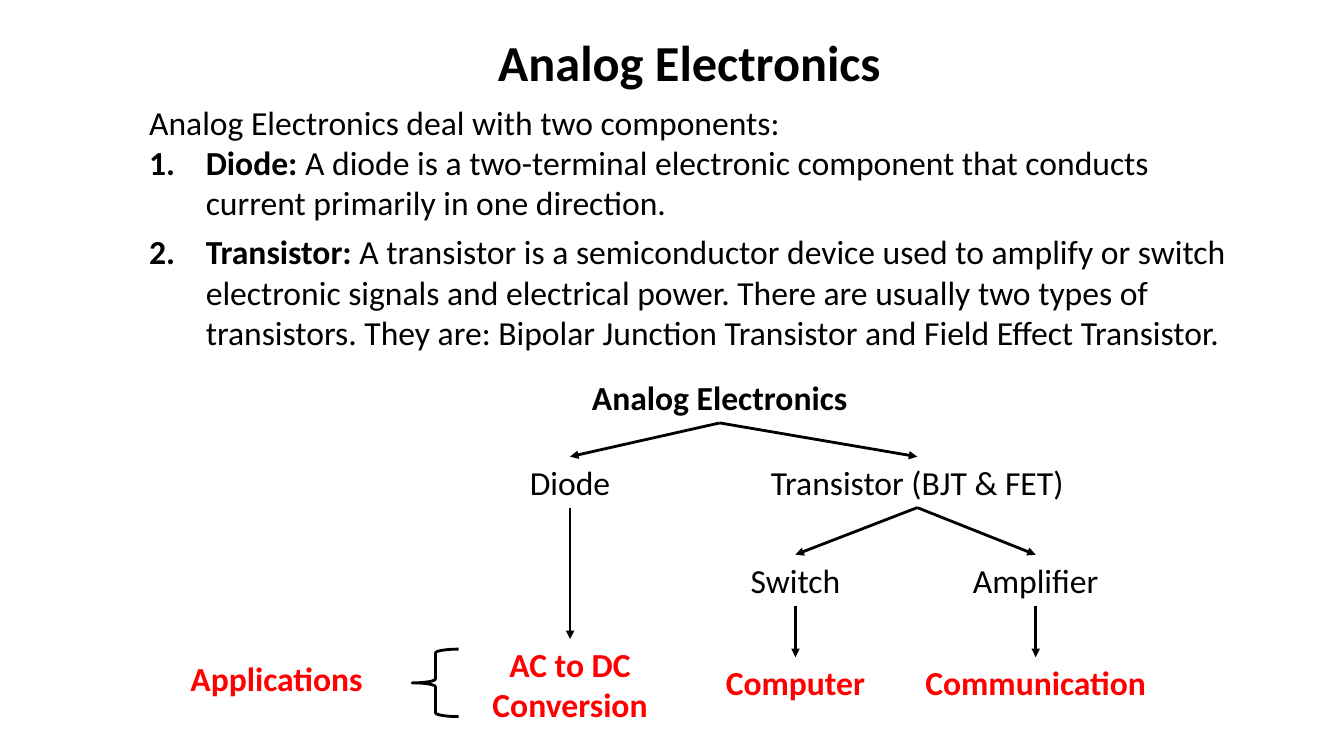
import pptx
import pptx.util
import pptx.dml.color
import pptx.enum.shapes
import pptx.enum.text
import pptx.oxml.ns
import lxml.etree
from dataclasses import dataclass

Pt = pptx.util.Pt
Align = pptx.enum.text.PP_ALIGN
qn = pptx.oxml.ns.qn


@dataclass(frozen=True)
class Theme:
    font: str = "Calibri"
    title_size: int = 36
    text_size: int = 24
    line_width: int = 2
    ink: pptx.dml.color.RGBColor = pptx.dml.color.RGBColor(0, 0, 0)
    accent: pptx.dml.color.RGBColor = pptx.dml.color.RGBColor(255, 0, 0)


THEME = Theme()
LINE_HEIGHT = 36.4

DEFINITIONS = [
    ("Diode:", " A diode is a two-terminal electronic component that conducts "
     "current primarily in one direction.", 0),
    ("Transistor:", " A transistor is a semiconductor device used to amplify or switch "
     "electronic signals and electrical power. There are usually two types of "
     "transistors. They are: Bipolar Junction Transistor and Field Effect Transistor.", 6),
]

TOPICS = [
    ("Analog Electronics", 514.1, 265.7, 396, True),
    ("Diode", 407.2, 326.2, 149, False),
    ("Transistor (BJT & FET)", 655.2, 326.2, 316.8, False),
    ("Switch", 568.2, 396.2, 96, False),
    ("Amplifier", 739.8, 396.2, 149, False),
]

APPLICATIONS = [
    ("AC to DC Conversion", 407.2, 456.5, 149, 65.5),
    ("Computer", 568.2, 469.4, 139, LINE_HEIGHT),
    ("Communication", 739.8, 469.4, 205, LINE_HEIGHT),
    ("Applications", 197.6, 466.6, 160.6, LINE_HEIGHT),
]

BRANCHES = [
    ("Analog Electronics", "Diode"),
    ("Analog Electronics", "Transistor (BJT & FET)"),
    ("Diode", "AC to DC Conversion"),
    ("Transistor (BJT & FET)", "Switch"),
    ("Transistor (BJT & FET)", "Amplifier"),
    ("Switch", "Computer"),
    ("Amplifier", "Communication"),
]


def add_box(page, left, top, width, height):
    box = page.shapes.add_textbox(Pt(left), Pt(top), Pt(width), Pt(height))
    box.text_frame.word_wrap = True
    return box


def style_font(font, size, color, bold=None):
    font.name = THEME.font
    font.size = Pt(size)
    font.color.rgb = color
    font.bold = bold


def add_label(page, text, center, top, width, height=LINE_HEIGHT,
              size=THEME.text_size, color=THEME.ink, bold=True):
    box = add_box(page, center - width / 2, top, width, height)
    para = box.text_frame.paragraphs[0]
    para.text = text
    para.alignment = Align.CENTER
    style_font(para.font, size, color, bold)
    return box


def number_paragraph(para, indent):
    properties = para._p.get_or_add_pPr()
    properties.set("marL", str(Pt(indent)))
    properties.set("indent", str(-Pt(indent)))
    bullet = lxml.etree.Element(qn("a:buAutoNum"), type="arabicPeriod")
    properties.insert_element_before(bullet, "a:tabLst", "a:defRPr", "a:extLst")


def add_definitions(page):
    frame = add_box(page, 99.4, 69.1, 797.8, 246.2).text_frame
    intro = frame.paragraphs[0]
    intro.text = "Analog Electronics deal with two components:"
    style_font(intro.font, THEME.text_size, THEME.ink)
    for term, meaning, gap in DEFINITIONS:
        para = frame.add_paragraph()
        para.space_before = Pt(gap)
        style_font(para.font, THEME.text_size, THEME.ink)
        for text, bold in ((term, True), (meaning, False)):
            span = para.add_run()
            span.text = text
            span.font.bold = bold
        number_paragraph(para, 40.5)


def style_line(line):
    line.color.rgb = THEME.ink
    line.width = Pt(THEME.line_width)


def add_arrow(page, parent, child):
    arrow = page.shapes.add_connector(pptx.enum.shapes.MSO_CONNECTOR.STRAIGHT, 0, 0, 0, 0)
    arrow.begin_connect(parent, 2)
    arrow.end_connect(child, 0)
    style_line(arrow.line)
    lxml.etree.SubElement(arrow.line._get_or_add_ln(), qn("a:tailEnd"), type="triangle")
    lxml.etree.SubElement(arrow._element.spPr, qn("a:effectLst"))


def add_brace(page, left, top, width, height):
    brace = page.shapes.add_shape(pptx.enum.shapes.MSO_SHAPE.LEFT_BRACE,
                                  Pt(left), Pt(top), Pt(width), Pt(height))
    brace.shadow.inherit = False
    brace.fill.background()
    style_line(brace.line)


def main():
    deck = pptx.Presentation()
    deck.slide_width, deck.slide_height = Pt(960), Pt(540)
    page = deck.slides.add_slide(deck.slide_layouts[6])
    add_label(page, "Analog Electronics", 492.5, 18.7, 819.4, 51.1, size=THEME.title_size)
    add_definitions(page)
    nodes = {}
    for text, center, top, width, bold in TOPICS:
        nodes[text] = add_label(page, text, center, top, width, bold=bold)
    for text, center, top, width, height in APPLICATIONS:
        nodes[text] = add_label(page, text, center, top, width, height, color=THEME.accent)
    for parent, child in BRANCHES:
        add_arrow(page, nodes[parent], nodes[child])
    add_brace(page, 294.5, 463.7, 33.1, 48.2)
    deck.save("out.pptx")


if __name__ == "__main__":
    main()
